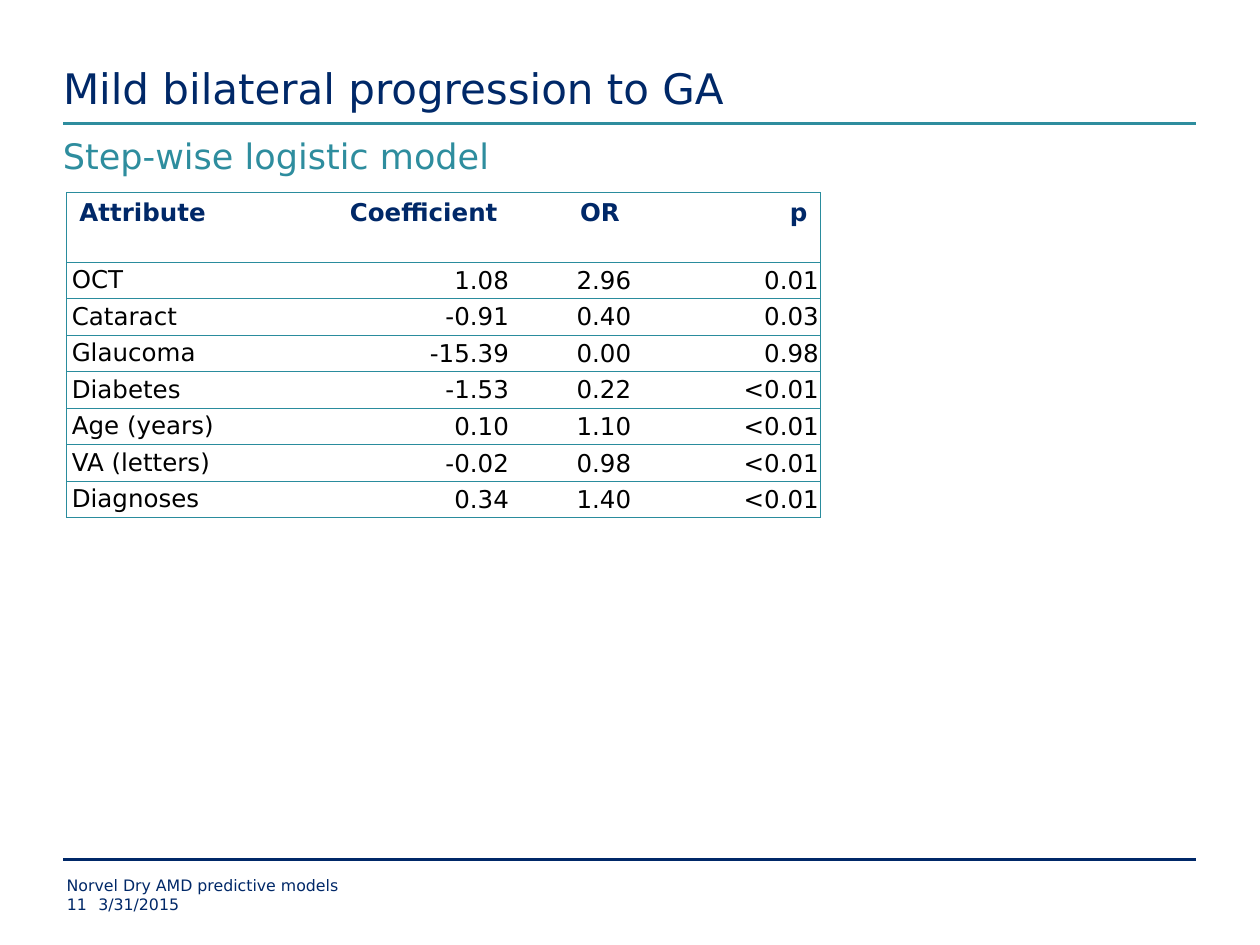
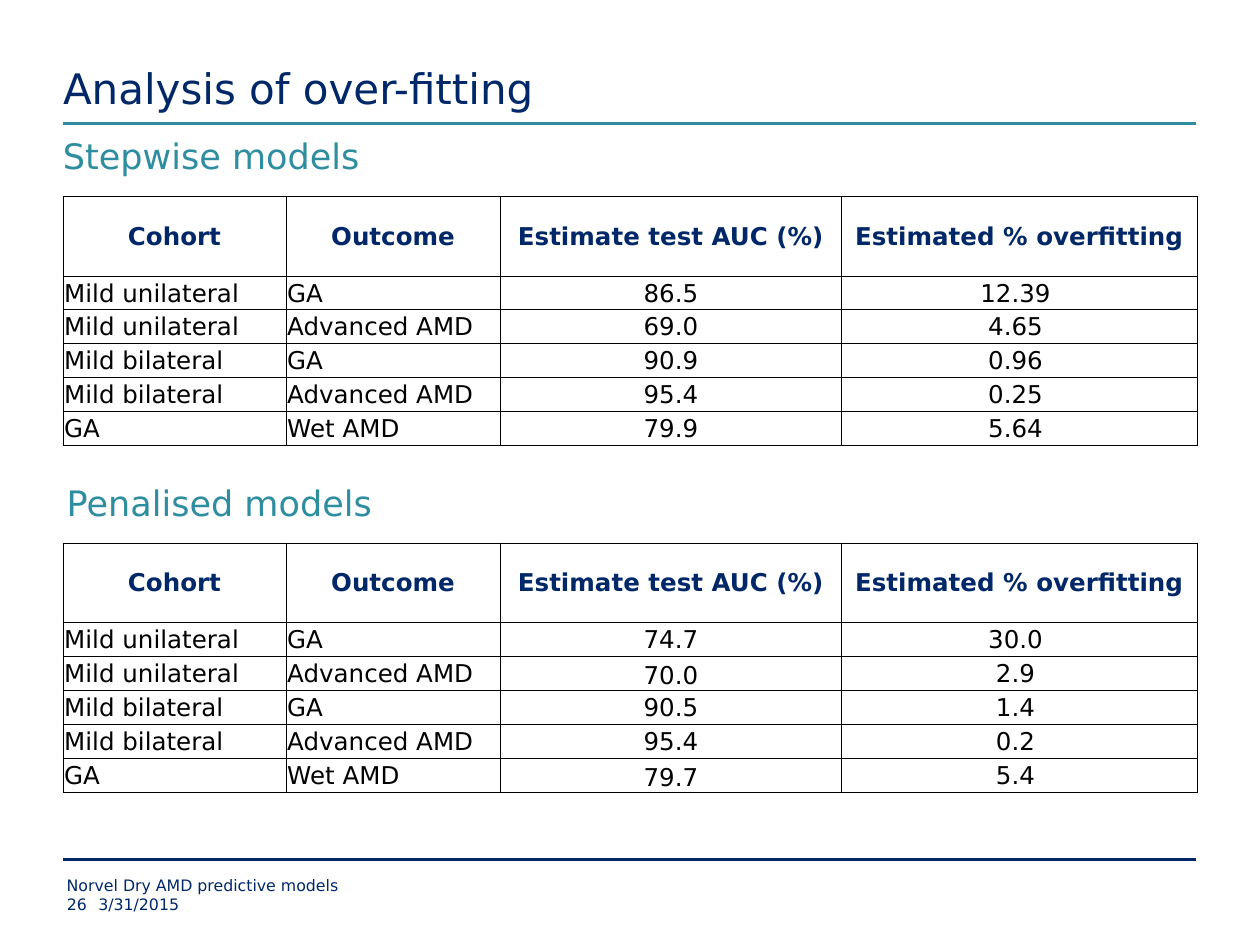
from lxml import etree
from pptx import Presentation
from pptx import util as u
from pptx.dml.color import RGBColor
from pptx.enum import shapes, text
from pptx.oxml import ns

FONT = "DejaVu Sans"
NAVY, TEAL, TABLE_TEAL, BLACK, WHITE = "002868", "2E8D9E", "2A8C9D", "000000", "FFFFFF"
LEFT, CENTER, RIGHT = text.PP_ALIGN.LEFT, text.PP_ALIGN.CENTER, text.PP_ALIGN.RIGHT
TOP, MIDDLE, BOTTOM = text.MSO_ANCHOR.TOP, text.MSO_ANCHOR.MIDDLE, text.MSO_ANCHOR.BOTTOM
TIGHT = (0.01, 0.01, 0.01, 0)


def rgb(value):
    return RGBColor.from_string(value)


def write(tf, words, size=14, color=BLACK, bold=False, align=LEFT):
    p = tf.paragraphs[0]
    p.alignment = align
    r = p.add_run()
    r.text = words
    r.font.name, r.font.size, r.font.bold = FONT, u.Pt(size), bold
    r.font.color.rgb = rgb(color)


def set_insets(target, insets):
    for side, value in zip(("left", "top", "right", "bottom"), insets):
        setattr(target, f"margin_{side}", u.Inches(value))


class Deck:
    """Holds the shared style and the current slide."""

    def __init__(self):
        self.prs = Presentation()
        self.prs.slide_width, self.prs.slide_height = u.Inches(10), u.Inches(7.5)

    def slide(self, title, number):
        self.s = self.prs.slides.add_slide(self.prs.slide_layouts[5])
        self.rule(0.98, TEAL)
        self.rule(6.82, NAVY)
        sp = self.s.shapes.title
        sp.left, sp.top, sp.width, sp.height = map(u.Inches, (0.5, 0, 9, 0.9))
        self.fill_frame(sp.text_frame, title, BOTTOM, size=24, color=NAVY)
        self.label("Norvel Dry AMD predictive models", 0.53, 6.95, 7.5, 0.15, size=9, color=NAVY)
        self.label(number, 0.53, 7.1, 0.25, 0.15, size=9, color=NAVY)
        self.label("3/31/2015", 0.78, 7.1, 7.25, 0.15, size=9, color=NAVY)

    def rule(self, y, color):
        line = self.s.shapes.add_connector(
            shapes.MSO_CONNECTOR.STRAIGHT, *map(u.Inches, (0.5, y, 9.49, y)))
        line.line.color.rgb, line.line.width = rgb(color), u.Pt(1.5)
        etree.SubElement(line._element.spPr, ns.qn("a:effectLst"))

    def fill_frame(self, tf, words, anchor=TOP, **style):
        tf.word_wrap, tf.auto_size = True, text.MSO_AUTO_SIZE.NONE
        tf.vertical_anchor = anchor
        set_insets(tf, (0, 0, 0, 0))
        write(tf, words, **style)

    def label(self, words, x, y, w, h, **style):
        sp = self.s.shapes.add_textbox(*map(u.Inches, (x, y, w, h)))
        self.fill_frame(sp.text_frame, words, **style)

    def subtitle(self, words, x, y):
        self.label(words, x, y, 9, 0.49, size=20, color=TEAL)

    def table(self, x, y, widths, heights, rows, cell_style, border, inner_columns=True):
        frame = self.s.shapes.add_table(
            len(rows), len(widths), *map(u.Inches, (x, y, sum(widths), sum(heights))))
        table = frame.table
        table.first_row = table.horz_banding = False
        for column, width in zip(table.columns, widths):
            column.width = u.Inches(width)
        for row, height in zip(table.rows, heights):
            row.height = u.Inches(height)
        for i, values in enumerate(rows):
            for j, value in enumerate(values):
                cell = table.cell(i, j)
                cell.fill.solid()
                cell.fill.fore_color.rgb = rgb(WHITE)
                align, anchor, insets = cell_style(i, j)
                cell.vertical_anchor = anchor
                set_insets(cell, insets)
                write(cell.text_frame, value, color=BLACK if i else NAVY,
                      bold=i == 0, align=align)
                self.borders(cell, *border, left=inner_columns or j == 0,
                             right=inner_columns or j == len(widths) - 1)

    def borders(self, cell, color, width, left, right):
        tcPr = cell._tc.get_or_add_tcPr()
        for k, (side, shown) in enumerate(zip("LRTB", (left, right, True, True))):
            ln = etree.Element(ns.qn(f"a:ln{side}"), w=str(u.Pt(width)))
            fill = etree.SubElement(ln, ns.qn("a:solidFill" if shown else "a:noFill"))
            if shown:
                etree.SubElement(fill, ns.qn("a:srgbClr"), val=color)
            tcPr.insert(k, ln)


def model_cell(i, j):
    align = RIGHT if j else LEFT
    if i == 0:
        return align, TOP, (0.1, 0.05, 0.1, 0.05)
    return align, MIDDLE, TIGHT if j else (0.04, 0, 0.04, 0)


def auc_cell(i, j):
    insets = (0.01, 0.01, 0.07, 0) if i and j == 3 else TIGHT
    return LEFT if i and j < 2 else CENTER, MIDDLE, insets


def penalised_cell(i, j):
    align, anchor, insets = auc_cell(i, j)
    return align, BOTTOM if (i, j) in ((2, 2), (5, 2)) else anchor, insets


def auc_table(deck, y, results, cell_style):
    cohorts = [("Mild unilateral", "GA"), ("Mild unilateral", "Advanced AMD"),
               ("Mild bilateral", "GA"), ("Mild bilateral", "Advanced AMD"), ("GA", "Wet AMD")]
    rows = [("Cohort", "Outcome", "Estimate test AUC (%)", "Estimated % overfitting")]
    rows += [cohort + result for cohort, result in zip(cohorts, results)]
    deck.table(0.5, y, (1.77, 1.7, 2.71, 2.82), [0.63] + [0.27] * 5, rows,
               cell_style, (BLACK, 0.5))


def main():
    deck = Deck()

    deck.slide("Mild bilateral progression to GA", "11")
    deck.subtitle("Step-wise logistic model", 0.5, 1.07)
    model = [
        ("Attribute", "Coefficient", "OR", "p"),
        ("OCT", "1.08", "2.96", "0.01"),
        ("Cataract", "-0.91", "0.40", "0.03"),
        ("Glaucoma", "-15.39", "0.00", "0.98"),
        ("Diabetes", "-1.53", "0.22", "<0.01"),
        ("Age (years)", "0.10", "1.10", "<0.01"),
        ("VA (letters)", "-0.02", "0.98", "<0.01"),
        ("Diagnoses", "0.34", "1.40", "<0.01"),
    ]
    deck.table(0.53, 1.53, (2.06, 1.46, 0.97, 1.49), [0.55] + [0.29] * 7, model,
               model_cell, (TABLE_TEAL, 0.75), inner_columns=False)

    deck.slide("Analysis of over-fitting", "26")
    deck.subtitle("Stepwise models", 0.5, 1.07)
    auc_table(deck, 1.56, [("86.5", "12.39"), ("69.0", "4.65"), ("90.9", "0.96"),
                           ("95.4", "0.25"), ("79.9", "5.64")], auc_cell)
    deck.subtitle("Penalised models", 0.53, 3.82)
    auc_table(deck, 4.31, [("74.7", "30.0"), ("70.0", "2.9"), ("90.5", "1.4"),
                           ("95.4", "0.2"), ("79.7", "5.4")], penalised_cell)

    deck.prs.save("out.pptx")


if __name__ == "__main__":
    main()
